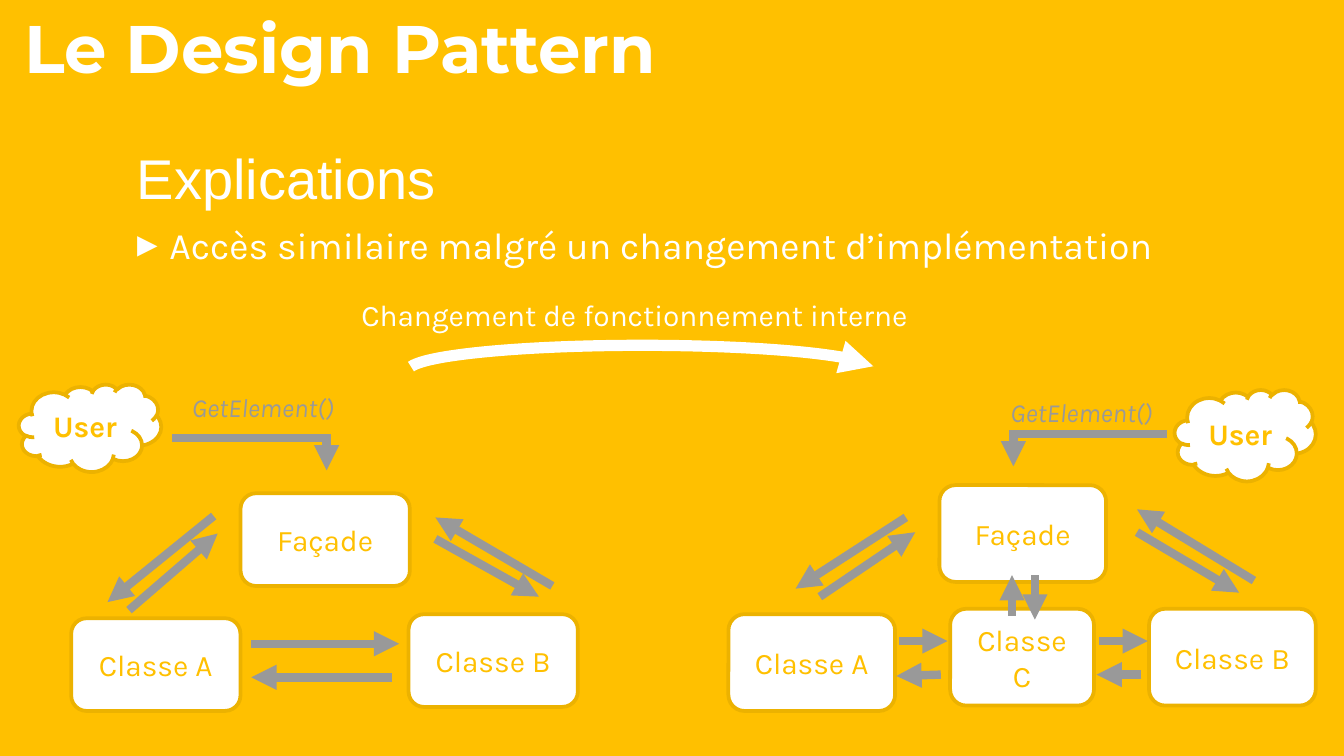
from dataclasses import dataclass

from lxml import etree
from pptx import Presentation
from pptx import util as u
from pptx.dml.color import RGBColor
from pptx.enum import shapes, text
from pptx.oxml.ns import qn

PX = 9144  # 100 px to the inch


@dataclass(frozen=True)
class Theme:
    back: str = "FFC000"
    edge: str = "ECB200"
    white: str = "FFFFFF"
    grey: str = "999999"
    head: str = "Montserrat"
    sub: str = "Arial"
    font: str = "Karla"
    title: int = 36
    topic: int = 30
    body: int = 20
    label: int = 16
    call: int = 14


T = Theme()


@dataclass(frozen=True)
class Box:
    x: int
    y: int
    w: int
    h: int


@dataclass(frozen=True)
class Node:
    name: str
    box: Box
    cloud: bool = False


@dataclass(frozen=True)
class Arrow:
    x1: int
    y1: int
    x2: int
    y2: int
    tip: bool = True


@dataclass(frozen=True)
class Scene:
    nodes: list[Node]
    arrows: list[Arrow]
    call: Box


def px(n: int) -> u.Emu:
    return u.Emu(n * PX)


def area(box: Box) -> list[u.Emu]:
    return [px(n) for n in (box.x, box.y, box.w, box.h)]


def rgb(code: str) -> RGBColor:
    return RGBColor.from_string(code)


def add_tip(shape) -> None:
    line = shape.line._get_or_add_ln()
    etree.SubElement(line, qn("a:tailEnd"), type="triangle")


def write(shape, words: str, size: int, color: str, face: str = T.font,
          inset: int = 0, anchor=text.MSO_ANCHOR.TOP,
          align=text.PP_ALIGN.LEFT, **style: bool):
    """Fill the shape with one paragraph and return that paragraph."""
    frame = shape.text_frame
    form = {"word_wrap": True, "auto_size": text.MSO_AUTO_SIZE.NONE,
            "vertical_anchor": anchor}
    if inset:
        sides = ("left", "top", "right", "bottom")
        form |= {f"margin_{side}": px(inset) for side in sides}
    for key, val in form.items():
        setattr(frame, key, val)
    para = frame.paragraphs[0]
    para.alignment = align
    run = para.add_run()
    run.text = words
    for key, val in {"name": face, "size": u.Pt(size), **style}.items():
        setattr(run.font, key, val)
    run.font.color.rgb = rgb(color)
    return para


def place(shape, box: Box) -> None:
    for key, val in zip(("left", "top", "width", "height"), area(box)):
        setattr(shape, key, val)


def add_bullet(para) -> None:
    para.space_before = u.Pt(3)
    props = para._p.get_or_add_pPr()
    props.set("marL", str(px(24)))
    props.set("indent", str(px(-24)))
    color = etree.SubElement(props, qn("a:buClr"))
    etree.SubElement(color, qn("a:srgbClr"), val=T.white)
    etree.SubElement(props, qn("a:buSzPct"), val="110000")
    etree.SubElement(props, qn("a:buFont"), typeface=T.font)
    etree.SubElement(props, qn("a:buChar"), char="▸")


def add_node(group, node: Node) -> None:
    kind = shapes.MSO_SHAPE
    shape = group.add_shape(
        kind.CLOUD if node.cloud else kind.ROUNDED_RECTANGLE, *area(node.box))
    shape.shadow.inherit = False
    shape.fill.solid()
    shape.fill.fore_color.rgb = rgb(T.white)
    shape.line.color.rgb = rgb(T.edge)
    shape.line.width = u.Pt(2)
    write(shape, node.name, T.label, T.back, anchor=text.MSO_ANCHOR.MIDDLE,
          align=text.PP_ALIGN.CENTER, bold=node.cloud)


def add_arrow(group, arrow: Arrow) -> None:
    ends = [px(n) for n in (arrow.x1, arrow.y1, arrow.x2, arrow.y2)]
    line = group.add_connector(shapes.MSO_CONNECTOR.STRAIGHT, *ends)
    line.line.color.rgb = rgb(T.grey)
    line.line.width = u.Pt(4.5)
    if arrow.tip:
        add_tip(line)
    etree.SubElement(line._element.spPr, qn("a:effectLst"))


def add_scene(slide, scene: Scene) -> None:
    group = slide.shapes.add_group_shape().shapes
    for node in scene.nodes:
        add_node(group, node)
    for arrow in scene.arrows:
        add_arrow(group, arrow)
    write(group.add_textbox(*area(scene.call)), "GetElement()",
          T.call, T.grey, italic=True)


def add_curve(slide, box: Box) -> None:
    arc = slide.shapes.add_shape(shapes.MSO_SHAPE.ARC, *area(box))
    arc.shadow.inherit = False
    arc.fill.background()
    arc.adjustments[0] = 108.53  # 181 degrees
    arc.adjustments[1] = 215.41  # 359 degrees
    arc.line.color.rgb = rgb(T.white)
    arc.line.width = u.Pt(6)
    add_tip(arc)


BEFORE = Scene(
    [Node("User", Box(14, 286, 106, 65), cloud=True),
     Node("Classe A", Box(53, 460, 126, 69)),
     Node("Façade", Box(179, 367, 126, 69)),
     Node("Classe B", Box(304, 457, 126, 69))],
    [Arrow(187, 479, 297, 479), Arrow(292, 504, 187, 504),
     Arrow(411, 436, 324, 385), Arrow(324, 401, 401, 444),
     Arrow(159, 384, 80, 448), Arrow(96, 454, 162, 397),
     Arrow(128, 326, 246, 326, tip=False), Arrow(243, 327, 243, 350)],
    Box(133, 286, 134, 34))

AFTER = Scene(
    [Node("User", Box(874, 290, 105, 68), cloud=True),
     Node("Classe A", Box(542, 457, 124, 72)),
     Node("Façade", Box(699, 361, 124, 72)),
     Node("Classe B", Box(855, 453, 124, 72)),
     Node("Classe C", Box(707, 453, 107, 72))],
    [Arrow(669, 477, 705, 477), Arrow(700, 502, 667, 503),
     Arrow(818, 477, 854, 477), Arrow(849, 502, 816, 502),
     Arrow(933, 432, 846, 379), Arrow(846, 396, 922, 441),
     Arrow(674, 385, 592, 438), Arrow(610, 444, 681, 396),
     Arrow(770, 428, 770, 461), Arrow(753, 458, 753, 428),
     Arrow(868, 323, 751, 323, tip=False), Arrow(754, 324, 754, 347)],
    Box(742, 290, 132, 34))


def main() -> None:
    deck = Presentation()
    deck.slide_width, deck.slide_height = u.Pt(720), u.Pt(405)
    slide = deck.slides.add_slide(deck.slide_layouts[1])
    slide.background.fill.solid()
    slide.background.fill.fore_color.rgb = rgb(T.back)

    title, body = slide.placeholders
    place(title, Box(8, 22, 582, 53))
    write(title, "Le Design Pattern", T.title, T.white, T.head, inset=10,
          anchor=text.MSO_ANCHOR.BOTTOM, bold=True)
    place(body, Box(92, 155, 777, 60))
    add_bullet(write(
        body, "Accès similaire malgré un changement d’implémentation",
        T.body, T.white, inset=10))
    topic = slide.shapes.add_textbox(*area(Box(92, 102, 582, 53)))
    write(topic, "Explications", T.topic, T.white, T.sub)

    for scene in (BEFORE, AFTER):
        add_scene(slide, scene)
    add_curve(slide, Box(304, 257, 348, 37))
    change = slide.shapes.add_textbox(*area(Box(259, 216, 442, 64)))
    write(change, "Changement de fonctionnement interne", T.label, T.white)
    deck.save("out.pptx")


if __name__ == "__main__":
    main()
